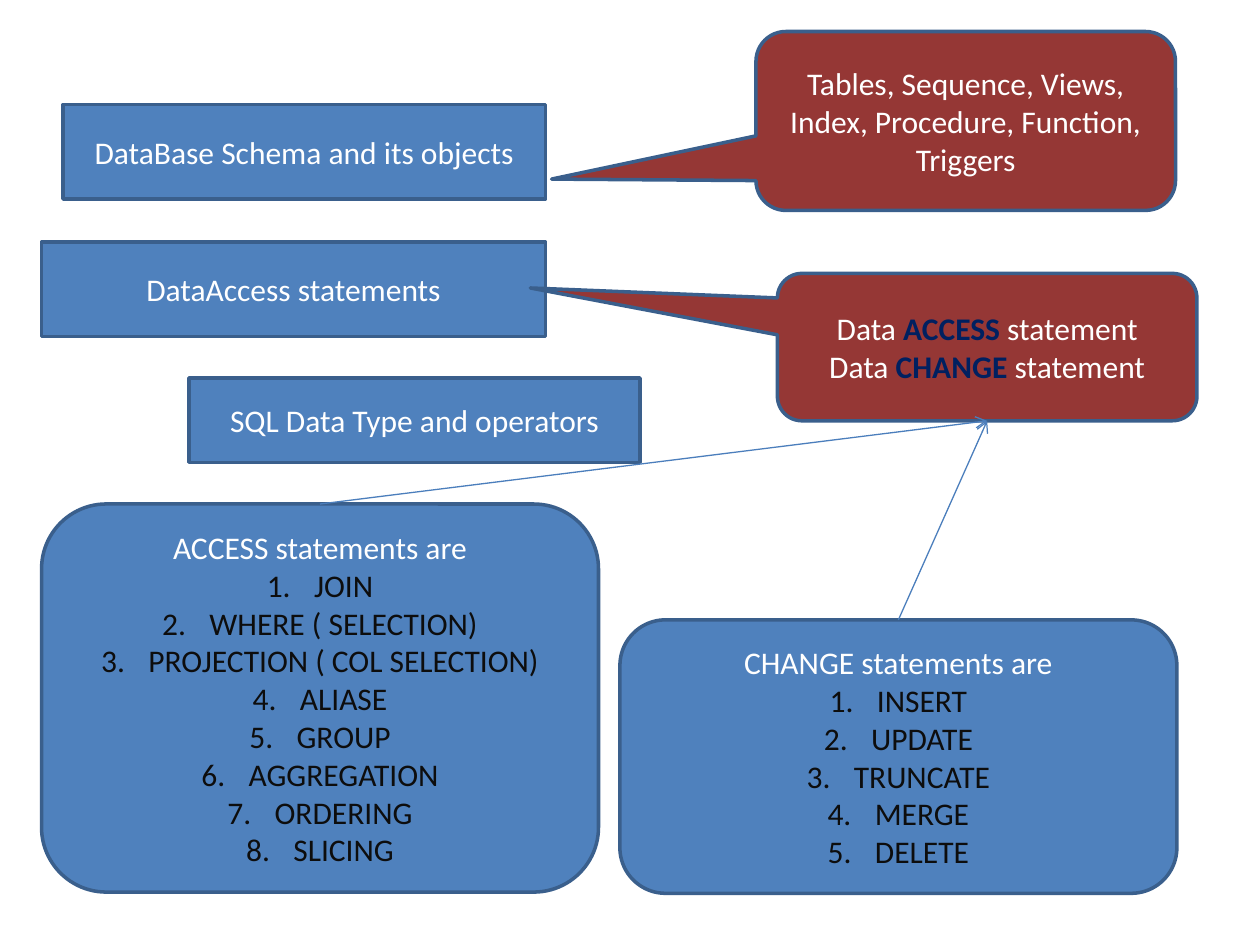
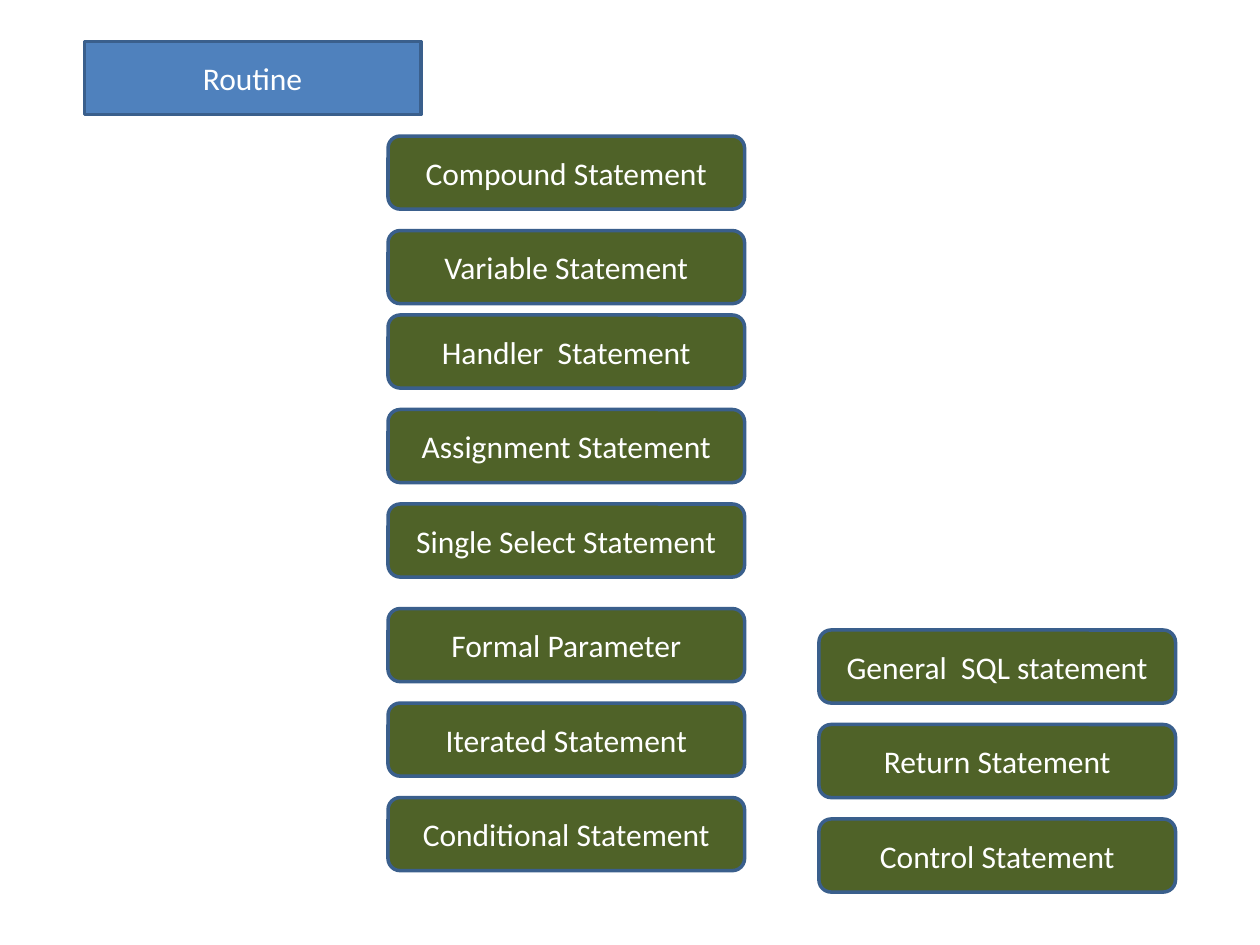
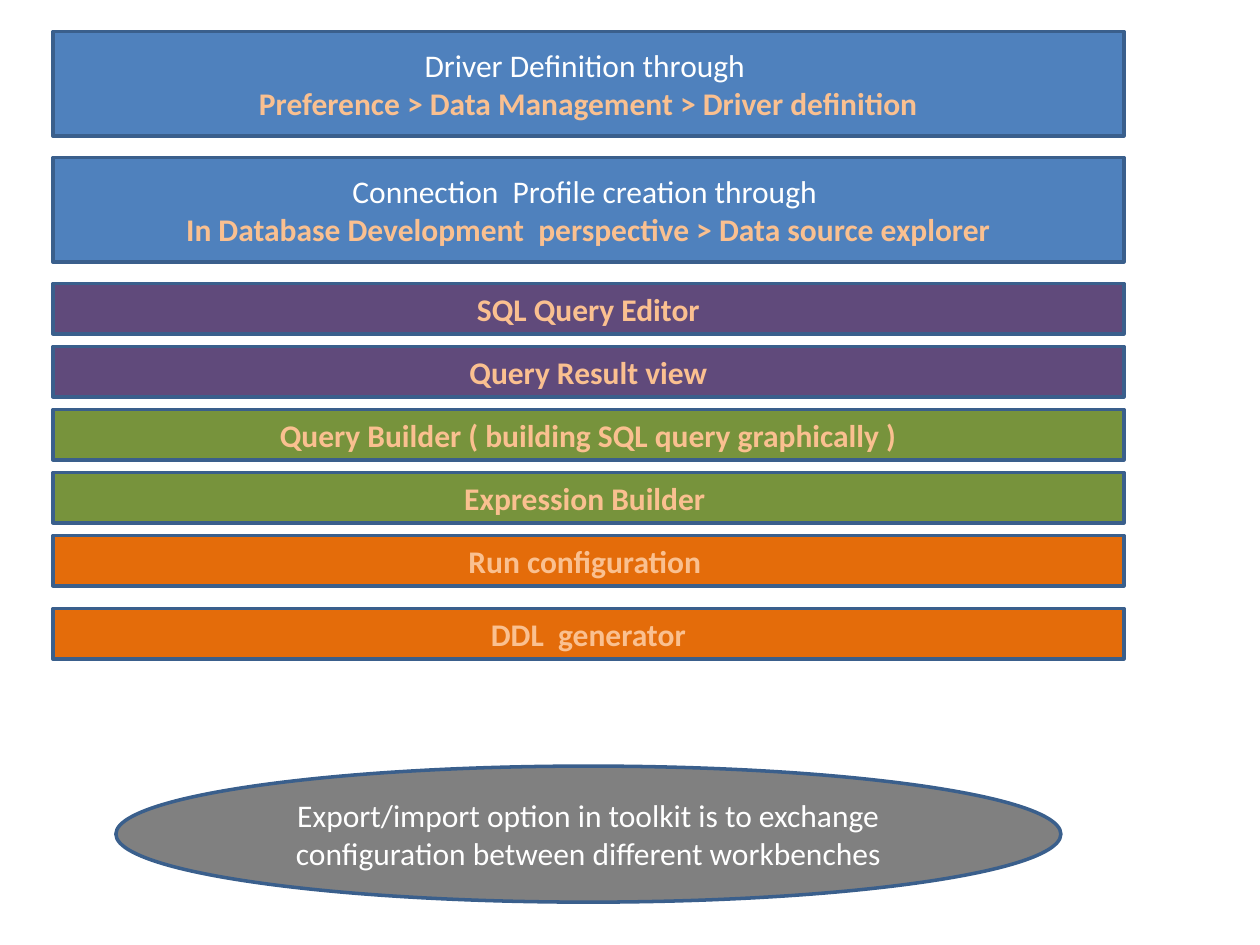
"""Build three slides of labelled boxes on SQL statements, routines and tooling."""
from dataclasses import dataclass
from typing import Optional

from lxml.etree import SubElement
from pptx import Presentation
from pptx.dml.color import RGBColor
from pptx.enum.shapes import MSO_CONNECTOR, MSO_SHAPE as Shape
from pptx.enum.text import MSO_ANCHOR, PP_ALIGN
from pptx.oxml.ns import qn
from pptx.util import Inches, Pt

FONT, SIZE = "Calibri", 18
BLUE, EDGE, ARROW = "4F81BD", "3A5F8C", "4B7EBC"
RED, GREEN, PURPLE = "953735", "4F6228", "604A7B"
OLIVE, ORANGE, GREY = "77933C", "E46C0A", "808080"
WHITE, NAVY, INK, PEACH = "FFFFFF", "002060", "0D0D0D", "FAC090"
LIST_INDENT = 0.375


@dataclass
class Run:
    """A stretch of text in one format."""
    text: str
    color: str = WHITE
    bold: bool = False


@dataclass
class Para:
    """A centred paragraph, numbered or plain."""
    runs: list[Run]
    numbered: bool = False


@dataclass
class Box:
    """A filled shape with its place and paragraphs."""
    left: float
    top: float
    width: float
    height: float
    paras: list[Para]
    fill: str = BLUE
    kind: Shape = Shape.RECTANGLE
    adjust: Optional[tuple[float, ...]] = None


def rgb(value: str) -> RGBColor:
    """Turn a hex string into a colour."""
    return RGBColor.from_string(value)


def line(text: str, color: str = WHITE, bold: bool = False, numbered: bool = False) -> Para:
    """Make a paragraph of one run."""
    return Para([Run(text, color, bold)], numbered)


def numbered_list(heading: str, items: list[str]) -> list[Para]:
    """Make a heading followed by numbered items."""
    return [line(heading)] + [line(item, INK, numbered=True) for item in items]


def add_run(p, text: str, *, color: str, bold: bool) -> None:
    """Append a formatted run to a paragraph."""
    r = p.add_run()
    r.text = text
    r.font.name, r.font.size, r.font.bold = FONT, Pt(SIZE), bold
    r.font.color.rgb = rgb(color)


def add_number(p) -> None:
    """Give a paragraph an automatic number and a hanging indent."""
    pPr = p._p.get_or_add_pPr()
    pPr.set("marL", str(Inches(LIST_INDENT)))
    pPr.set("indent", str(-Inches(LIST_INDENT)))
    SubElement(pPr, qn("a:buFont"), typeface="+mj-lt")
    SubElement(pPr, qn("a:buAutoNum"), type="arabicPeriod")


def add_box(s, box: Box):
    """Draw a box with its text."""
    place = [Inches(v) for v in (box.left, box.top, box.width, box.height)]
    sp = s.shapes.add_shape(box.kind, *place)
    sp.shadow.inherit = False
    sp.fill.solid()
    sp.fill.fore_color.rgb = rgb(box.fill)
    sp.line.color.rgb = rgb(EDGE)
    sp.line.width = Pt(2)
    for i, value in enumerate(box.adjust or ()):
        sp.adjustments[i] = value
    tf = sp.text_frame
    tf.word_wrap = True
    tf.vertical_anchor = MSO_ANCHOR.MIDDLE
    for i, para in enumerate(box.paras):
        p = tf.add_paragraph() if i else tf.paragraphs[0]
        p.alignment = PP_ALIGN.CENTER
        if para.numbered:
            add_number(p)
        for run in para.runs:
            add_run(p, run.text, color=run.color, bold=run.bold)
    return sp


def add_arrow(s, start, end) -> None:
    """Join the top of one shape to the bottom of another."""
    cx = s.shapes.add_connector(MSO_CONNECTOR.STRAIGHT, 0, 0, 0, 0)
    cx.begin_connect(start, 0)
    cx.end_connect(end, 2)
    cx.line.color.rgb = rgb(ARROW)
    cx.line.width = Pt(0.75)
    SubElement(cx.line._get_or_add_ln(), qn("a:tailEnd"), type="arrow")
    SubElement(cx._element.spPr, qn("a:effectLst"))


def build_schema(s) -> None:
    """Draw the schema and its access and change statements."""
    add_box(s, Box(0.5, 0.83, 3.83, 0.75, [line("DataBase Schema and its objects")]))
    add_box(s, Box(0.33, 1.92, 4, 0.75, [line("DataAccess statements")]))
    kinds = [Para([Run("Data "), Run(word, NAVY, True), Run(" statement")])
             for word in ("ACCESS", "CHANGE")]
    callout = Shape.ROUNDED_RECTANGULAR_CALLOUT
    statements = add_box(s, Box(6.17, 2.17, 3.33, 1.17, kinds, RED, callout,
                                (-1.089, -0.401, 0.167)))
    objects = "Tables, Sequence, Views, Index, Procedure, Function, Triggers"
    add_box(s, Box(6, 0.25, 3.33, 1.42, [line(objects)], RED, callout,
                   (-0.987, 0.325, 0.167)))
    change = numbered_list("CHANGE statements are",
                           ["INSERT", "UPDATE", "TRUNCATE", "MERGE", "DELETE"])
    access = numbered_list("ACCESS statements are", [
        "JOIN", "WHERE ( SELECTION)", "PROJECTION ( COL SELECTION)", "ALIASE",
        "GROUP", "AGGREGATION", "ORDERING", "SLICING"])
    rounded = Shape.ROUNDED_RECTANGLE
    lists = [add_box(s, Box(4.92, 4.92, 4.42, 2.17, change, kind=rounded)),
             add_box(s, Box(0.33, 4, 4.42, 3.08, access, kind=rounded))]
    add_box(s, Box(1.5, 3, 3.58, 0.67, [line("SQL Data Type and operators")]))
    for box in lists:
        add_arrow(s, box, statements)


def build_routine(s) -> None:
    """Draw the routine and stacks of its statements."""
    add_box(s, Box(0.67, 0.33, 2.67, 0.58, [line("Routine")]))
    stacks = [
        (3.08, 1.08, ["Compound Statement", "Variable Statement"]),
        (3.08, 2.5, ["Handler  Statement", "Assignment Statement", "Single Select Statement"]),
        (3.08, 4.83, ["Formal Parameter", "Iterated Statement", "Conditional Statement"]),
        (6.5, 5, ["General  SQL statement", "Return Statement", "Control Statement"]),
    ]
    for left, top, names in stacks:
        for i, name in enumerate(names):
            add_box(s, Box(left, top + i * 0.75, 2.83, 0.58, [line(name)], GREEN,
                           Shape.ROUNDED_RECTANGLE))


def build_tooling(s) -> None:
    """Draw the setup steps, the tool bands and the closing remark."""
    left, width = 0.42, 8.5
    steps = [
        ("Driver Definition through ", "Preference > Data Management > Driver definition"),
        ("Connection  Profile creation through ",
         "In Database Development  perspective > Data source explorer"),
    ]
    for i, (step, where) in enumerate(steps):
        add_box(s, Box(left, 0.25 + i, width, 0.83, [line(step), line(where, PEACH, True)]))
    bands = [
        (2.25, "SQL Query Editor", PURPLE),
        (2.75, "Query Result view", PURPLE),
        (3.25, "Query Builder ( building SQL query graphically )", OLIVE),
        (3.75, "Expression Builder ", OLIVE),
        (4.25, "Run configuration ", ORANGE),
        (4.83, "DDL  generator", ORANGE),
    ]
    for top, name, fill in bands:
        add_box(s, Box(left, top, width, 0.4, [line(name, PEACH, True)], fill))
    remark = ("Export/import option in toolkit is to exchange "
              "configuration between different workbenches")
    add_box(s, Box(0.92, 6.08, 7.5, 1.08, [line(remark)], GREY, Shape.OVAL))


def main() -> None:
    """Build the slides and save them."""
    prs = Presentation()
    prs.slide_width, prs.slide_height = Inches(10), Inches(7.5)
    for build in (build_schema, build_routine, build_tooling):
        build(prs.slides.add_slide(prs.slide_layouts[6]))
    prs.save("out.pptx")


main()
